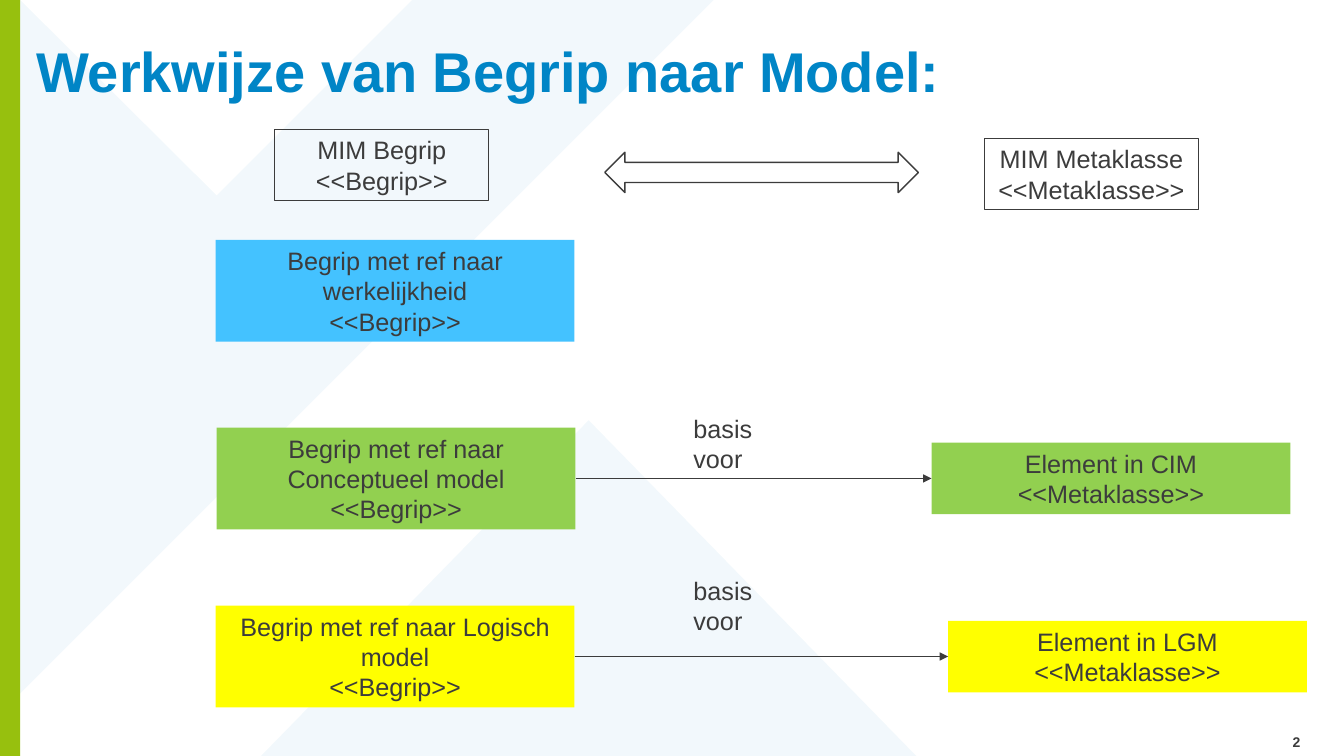
"""Build the slide that maps each kind of MIM Begrip to its model element."""
from dataclasses import dataclass
from typing import Optional

import pptx
import pptx.dml.color
import pptx.enum.shapes
import pptx.enum.text
import pptx.oxml
import pptx.oxml.ns
import pptx.util
from lxml import etree

Pt = pptx.util.Pt
RGB = pptx.dml.color.RGBColor
SHAPE = pptx.enum.shapes.MSO_SHAPE
ALIGN = pptx.enum.text.PP_ALIGN
ANCHOR = pptx.enum.text.MSO_ANCHOR
qn = pptx.oxml.ns.qn


@dataclass(frozen=True)
class Theme:
    font: str = "Arial"
    text: str = "3C3C3C"
    blue: str = "0085C6"
    bar: str = "97C00E"
    reality: str = "44C2FF"
    concept: str = "92D050"
    logical: str = "FFFF00"
    title_size: float = 40
    body_size: float = 18
    number_size: float = 10


@dataclass(frozen=True)
class Box:
    left: float
    top: float
    width: float
    height: float
    lines: tuple[str, ...] = ()
    fill: Optional[str] = None
    line: Optional[float] = None
    kind: SHAPE = SHAPE.RECTANGLE
    alpha: Optional[int] = None


@dataclass(frozen=True)
class Label:
    left: float
    top: float
    width: float
    height: float
    text: str
    size: float
    color: str
    bold: bool = False
    align: ALIGN = ALIGN.LEFT
    anchor: ANCHOR = ANCHOR.TOP
    spacing: Optional[float] = None


@dataclass(frozen=True)
class Step:
    concept: Box
    element: Box
    label_top: float


T = Theme()
BEGRIP, METAKLASSE = "<<Begrip>>", "<<Metaklasse>>"
W, H = 960, 540
WIDE, TALL, LOW = 256.3, 72.7, 51.1
HEAD_W = 152.6


def concept(left: float, top: float, name: str, fill: str) -> Box:
    return Box(left, top, WIDE, TALL, (f"Begrip met ref naar {name}", BEGRIP), fill)


def step(left: float, top: float, name: str, model: str, fill: str,
         element_left: float, label_top: float) -> Step:
    element = Box(element_left, top + (TALL - LOW) / 2, WIDE, LOW,
                  (f"Element in {model}", METAKLASSE), fill)
    return Step(concept(left, top, name, fill), element, label_top)


BACKGROUND = (
    Box(0, 0, 14.4, H, fill=T.bar),
    Box(186.5, 300.2, 468, 239.8, fill=T.blue, kind=SHAPE.ISOSCELES_TRIANGLE, alpha=5),
)
WEDGE = ((509.8, 0), (294.5, 0), (154.8, 139.7), (14.4, 0), (13.7, 0), (13.7, 496.1))
HEADERS = (
    Box(196.4, 92.2, HEAD_W, LOW, ("MIM Begrip", BEGRIP), line=0.75),
    Box(703.3, 98.6, HEAD_W, LOW, ("MIM Metaklasse", METAKLASSE), line=0.75),
    Box(432, 108.8, 224, 28.8, line=1, kind=SHAPE.LEFT_RIGHT_ARROW),
    concept(154.1, 171.4, "werkelijkheid", T.reality),
)
STEPS = (
    step(154.8, 305.4, "Conceptueel model", "CIM", T.concept, 665.4, 291.6),
    step(154.1, 432.6, "Logisch model", "LGM", T.logical, 677.2, 407.3),
)
LABELS = (
    Label(18.7, -23.8, 770.4, 100.8, "Werkwijze van Begrip naar Model:", T.title_size,
          T.blue, True, anchor=ANCHOR.BOTTOM, spacing=0.8),
    Label(875.5, 522.7, 60.5, 14.4, "2", T.number_size, T.text, True,
          ALIGN.RIGHT, ANCHOR.MIDDLE),
)


def add_run(p, text: str, size: float, color: str, bold: bool = False) -> None:
    r = p.add_run()
    r.text = text
    r.font.name, r.font.size, r.font.bold = T.font, Pt(size), bold
    r.font.color.rgb = RGB.from_string(color)


def paint(s, fill: Optional[str], line: Optional[float], alpha: Optional[int] = None) -> None:
    s.shadow.inherit = False
    if fill:
        s.fill.solid()
        s.fill.fore_color.rgb = RGB.from_string(fill)
    else:
        s.fill.background()
    if alpha is not None:
        color = s.fill._xPr.find(qn("a:solidFill"))[0]
        etree.SubElement(color, qn("a:alpha")).set("val", str(alpha * 1000))
    if line:
        s.line.color.rgb = RGB.from_string(T.text)
        s.line.width = Pt(line)
    else:
        s.line.fill.background()


def add_box(slide, box: Box):
    s = slide.shapes.add_shape(box.kind, Pt(box.left), Pt(box.top),
                               Pt(box.width), Pt(box.height))
    paint(s, box.fill, box.line, box.alpha)
    tf = s.text_frame
    tf.word_wrap = True
    tf.vertical_anchor = ANCHOR.MIDDLE
    for i, text in enumerate(box.lines):
        p = tf.add_paragraph() if i else tf.paragraphs[0]
        p.alignment = ALIGN.CENTER
        add_run(p, text, T.body_size, T.text)
    return s


def add_wedge(slide) -> None:
    points = [(Pt(x), Pt(y)) for x, y in WEDGE]
    builder = slide.shapes.build_freeform(*points[0])
    builder.add_line_segments(points[1:], close=True)
    paint(builder.convert_to_shape(), T.blue, None, 5)


def add_label(slide, label: Label) -> None:
    s = slide.shapes.add_textbox(Pt(label.left), Pt(label.top),
                                 Pt(label.width), Pt(label.height))
    tf = s.text_frame
    tf.word_wrap = True
    tf.vertical_anchor = label.anchor
    p = tf.paragraphs[0]
    p.alignment = label.align
    if label.spacing:
        p.line_spacing = label.spacing
    add_run(p, label.text, label.size, label.color, label.bold)


def add_step(slide, item: Step) -> None:
    start, end = add_box(slide, item.concept), add_box(slide, item.element)
    c = slide.shapes.add_connector(pptx.enum.shapes.MSO_CONNECTOR.STRAIGHT, 0, 0, 0, 0)
    c.begin_connect(start, 3)
    c.end_connect(end, 1)
    c.line.color.rgb = RGB.from_string(T.text)
    c.line.width = Pt(0.5)
    etree.SubElement(c.line._get_or_add_ln(), qn("a:tailEnd")).set("type", "triangle")
    etree.SubElement(c._element.spPr, qn("a:effectLst"))
    add_label(slide, Label(488.2, item.label_top, 95, 28.8, "basis voor",
                           T.body_size, T.text))


def main() -> None:
    prs = pptx.Presentation()
    prs.slide_width, prs.slide_height = Pt(W), Pt(H)
    slide = prs.slides.add_slide(prs.slide_layouts[6])
    add_wedge(slide)
    for box in BACKGROUND + HEADERS:
        add_box(slide, box)
    for item in STEPS:
        add_step(slide, item)
    for label in LABELS:
        add_label(slide, label)
    prs.save("out.pptx")


if __name__ == "__main__":
    main()
